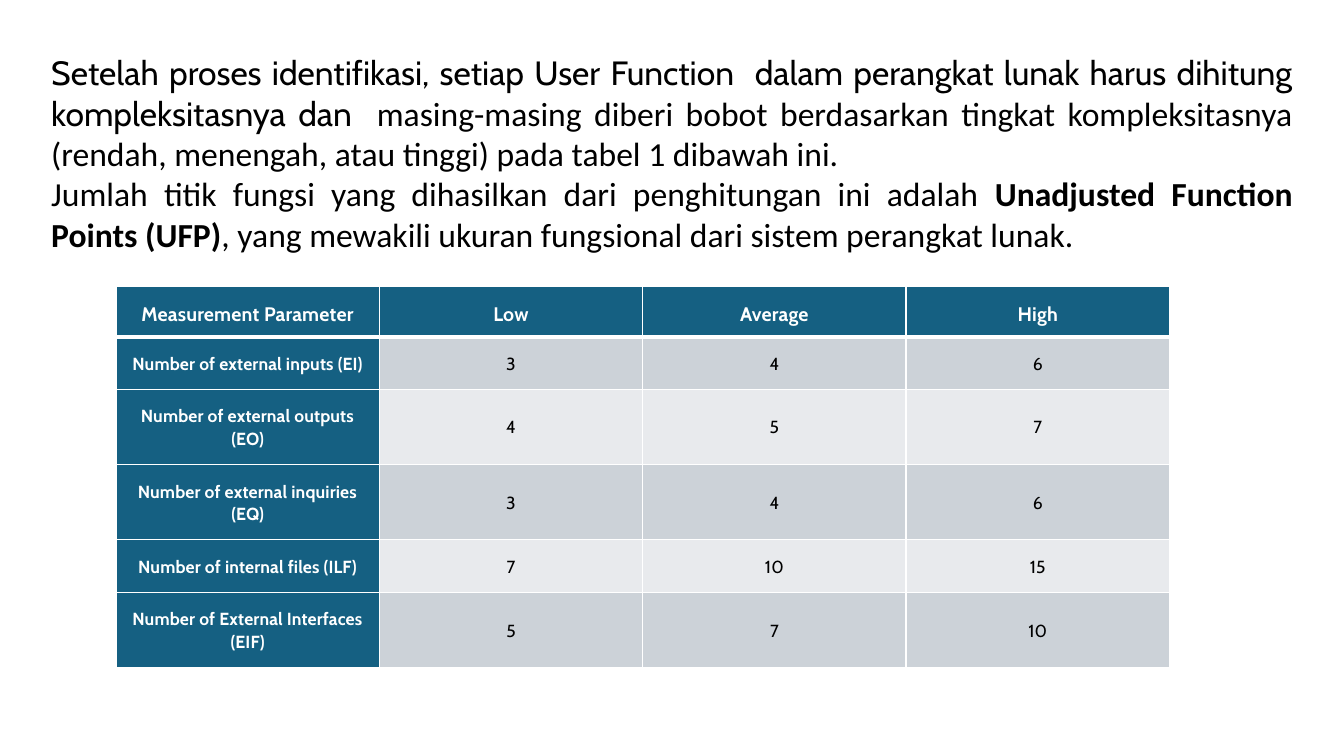
from dataclasses import dataclass

from lxml import etree
from pptx import Presentation
from pptx.dml.color import RGBColor
from pptx.enum.text import MSO_ANCHOR, MSO_AUTO_SIZE, PP_ALIGN
from pptx.oxml.ns import qn
from pptx.util import Inches, Pt

BOTTOM, MIDDLE = MSO_ANCHOR.BOTTOM, MSO_ANCHOR.MIDDLE
CENTER, JUSTIFY = PP_ALIGN.CENTER, PP_ALIGN.JUSTIFY
GROW = MSO_AUTO_SIZE.SHAPE_TO_FIT_TEXT


@dataclass(frozen=True)
class Theme:
    head: str = "Cabin"
    body: str = "Calibri"
    ink: str = "000000"
    white: str = "FFFFFF"
    blue: str = "156082"
    bands: tuple = ("CCD2D8", "E8EAED")
    prose: float = 24
    title: float = 14
    small: float = 12.5


INTRO = [
    [("Setelah proses identifikasi, setiap User Function  dalam perangkat lunak "
      "harus dihitung kompleksitasnya dan ", "head", False),
     (" masing-masing diberi bobot berdasarkan tingkat kompleksitasnya "
      "(rendah, menengah, atau tinggi) pada tabel 1 dibawah ini. ", "body", False)],
    [("Jumlah titik fungsi yang dihasilkan dari penghitungan ini adalah ", "body", False),
     ("Unadjusted Function Points (UFP)", "body", True),
     (", yang mewakili ukuran fungsional dari sistem perangkat lunak.", "body", False)],
]
WEIGHTS = [
    ("Measurement Parameter", "Low", "Average", "High"),
    ("Number of external inputs (EI)", 3, 4, 6),
    ("Number of external outputs (EO)", 4, 5, 7),
    ("Number of external inquiries (EQ)", 3, 4, 6),
    ("Number of internal files (ILF)", 7, 10, 15),
    ("Number of External Interfaces (EIF)", 5, 7, 10),
]


def apply(item, values):
    for name, value in values.items():
        setattr(item, name, value)


class Board:
    def __init__(self, slide, theme):
        self.slide, self.theme = slide, theme

    def run(self, para, text, face, size, color, bold):
        run = para.add_run()
        run.text = text
        apply(run.font, {"name": face, "size": Pt(size), "bold": bold})
        run.font.color.rgb = RGBColor.from_string(color)
        return run

    def prose(self, paras, left, top, width, height):
        look = self.theme
        box = self.slide.shapes.add_textbox(*map(Inches, (left, top, width, height)))
        frame = box.text_frame
        apply(frame, {"word_wrap": True, "auto_size": GROW})
        for i, parts in enumerate(paras):
            para = frame.add_paragraph() if i else frame.paragraphs[0]
            para.alignment = JUSTIFY
            for text, face, bold in parts:
                self.run(para, text, getattr(look, face), look.prose, look.ink, bold)

    def edges(self, cell, row):
        """Draw white cell borders, thick between the header and the first row."""
        widths = {"lnL": 1, "lnR": 1, "lnT": 3 if row == 1 else 1,
                  "lnB": 3 if row == 0 else 1}
        props = cell._tc.get_or_add_tcPr()
        for side, width in widths.items():
            line = etree.SubElement(props, qn("a:" + side), w=str(Pt(width)))
            fill = etree.SubElement(line, qn("a:solidFill"))
            etree.SubElement(fill, qn("a:srgbClr"), val=self.theme.white)

    def cell(self, cell, text, row, col):
        look, top = self.theme, row == 0
        label = top or col == 0
        side = Inches(0.04 if top and col == 0 else 0.1)
        pad = Inches(0.1 if top else 0.15)
        apply(cell, {"margin_left": side, "margin_right": side,
                     "margin_top": pad, "margin_bottom": pad,
                     "vertical_anchor": BOTTOM if top else MIDDLE})
        self.edges(cell, row)
        cell.fill.solid()
        shade = look.blue if label else look.bands[(row - 1) % 2]
        cell.fill.fore_color.rgb = RGBColor.from_string(shade)
        para = cell.text_frame.paragraphs[0]
        apply(para, {"alignment": CENTER, "line_spacing": 1.07, "space_after": Pt(8)})
        run = self.run(para, str(text), look.head, look.title if top else look.small,
                       look.white if label else look.ink, label)
        run.font._element.set("spc", "10")

    def table(self, rows, left, top, width, heights):
        frame = self.slide.shapes.add_table(
            len(rows), len(rows[0]),
            *map(Inches, (left, top, width, sum(heights))))
        grid = frame.table
        for r, (values, height) in enumerate(zip(rows, heights)):
            grid.rows[r].height = Inches(height)
            for c, value in enumerate(values):
                self.cell(grid.cell(r, c), value, r, c)


def main():
    deck = Presentation()
    apply(deck, {"slide_width": Inches(13.33), "slide_height": Inches(7.5)})
    board = Board(deck.slides.add_slide(deck.slide_layouts[6]), Theme())
    board.prose(INTRO, 0.41, 0.47, 12.51, 3.84)
    board.table(WEIGHTS, 1.15, 2.84, 10.45, [0.5] + [0.52] * 5)
    deck.save("out.pptx")


if __name__ == "__main__":
    main()
